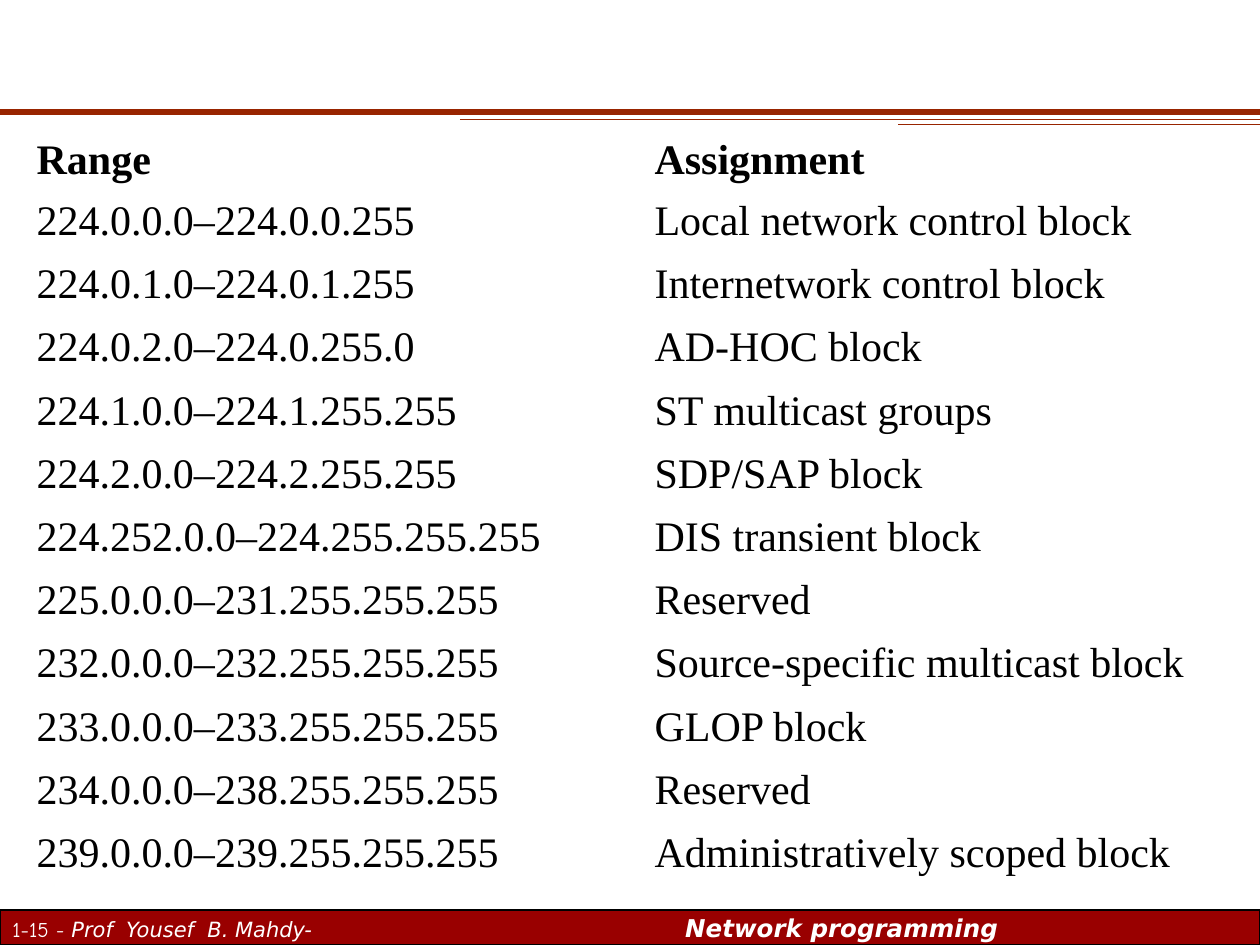
from lxml.etree import SubElement
from pptx import Presentation
from pptx.dml.color import RGBColor
from pptx.enum.shapes import MSO_CONNECTOR, MSO_SHAPE
from pptx.enum.text import MSO_ANCHOR, PP_ALIGN
from pptx.oxml.ns import qn
from pptx.util import Inches, Pt

hues = {"rule": "982400", "bar": "990000", "ink": "000000", "pale": "FFFFFF"}


def tint(name):
    return RGBColor.from_string(hues[name])


deck = Presentation()
deck.slide_width, deck.slide_height = Inches(10), Inches(7.5)
slide = deck.slides.add_slide(deck.slide_layouts[6])
wide = deck.slide_width

# Stepped rules under the title area
for left, top, size in [(0, 0.89, 3), (3.65, 0.95, 0.75), (7.13, 0.99, 0.75)]:
    rule = slide.shapes.add_connector(
        MSO_CONNECTOR.STRAIGHT, Inches(left), Inches(top), wide, Inches(top))
    rule.line.color.rgb = tint("rule")
    rule.line.width = Pt(size)
    SubElement(rule._element.spPr, qn("a:effectLst"))

# Footer bar, with a tab stop before the course name
bar = slide.shapes.add_shape(
    MSO_SHAPE.RECTANGLE, 0, Inches(7.22), wide, Inches(0.28))
bar.shadow.inherit = False
bar.fill.solid()
bar.fill.fore_color.rgb = tint("bar")
bar.line.color.rgb = tint("ink")
bar.line.width = Pt(1)
frame = bar.text_frame
frame.word_wrap = True
frame.vertical_anchor = MSO_ANCHOR.MIDDLE
frame.margin_top = frame.margin_bottom = 0
foot = frame.paragraphs[0]
foot.alignment = PP_ALIGN.LEFT
tabs = SubElement(foot._p.get_or_add_pPr(), qn("a:tabLst"))
SubElement(tabs, qn("a:tab"), pos=str(Inches(5.34)), algn="l")
for text, face, size, slant, bold in [
    ("1-15", "Comic Neue", 12, False, False),
    (" - ", "Comic Neue", 12, True, False),
    ("Prof  Yousef  B. Mahdy-\t", "DejaVu Sans", 12, True, False),
    ("Network programming", "DejaVu Sans", 14, True, True),
]:
    run = foot.add_run()
    run.text = text
    font = run.font
    font.name, font.size = face, Pt(size)
    font.italic, font.bold = slant, bold
    font.color.rgb = tint("pale")

# Table of multicast address ranges
rows = [
    ("Range", "Assignment"),
    ("224.0.0.0–224.0.0.255", "Local network control block"),
    ("224.0.1.0–224.0.1.255", "Internetwork control block"),
    ("224.0.2.0–224.0.255.0", "AD-HOC block"),
    ("224.1.0.0–224.1.255.255", "ST multicast groups"),
    ("224.2.0.0–224.2.255.255", "SDP/SAP block"),
    ("224.252.0.0–224.255.255.255", "DIS transient block"),
    ("225.0.0.0–231.255.255.255", "Reserved"),
    ("232.0.0.0–232.255.255.255", "Source-specific multicast block"),
    ("233.0.0.0–233.255.255.255", "GLOP block"),
    ("234.0.0.0–238.255.255.255", "Reserved"),
    ("239.0.0.0–239.255.255.255", "Administratively scoped block"),
]
grid = slide.shapes.add_table(
    len(rows), 2, Inches(0.19), Inches(1.02), Inches(9.81), Inches(6.02)).table
grid.first_row = grid.horz_banding = False
for r, row in enumerate(rows):
    for c, text in enumerate(row):
        cell = grid.cell(r, c)
        cell.fill.background()
        cell.vertical_anchor = MSO_ANCHOR.TOP if r else MSO_ANCHOR.MIDDLE
        cell.text = text
        font = cell.text_frame.paragraphs[0].font
        font.name, font.size, font.bold = "Times New Roman", Pt(24), r == 0
        font.color.rgb = tint("ink")

deck.save("out.pptx")
